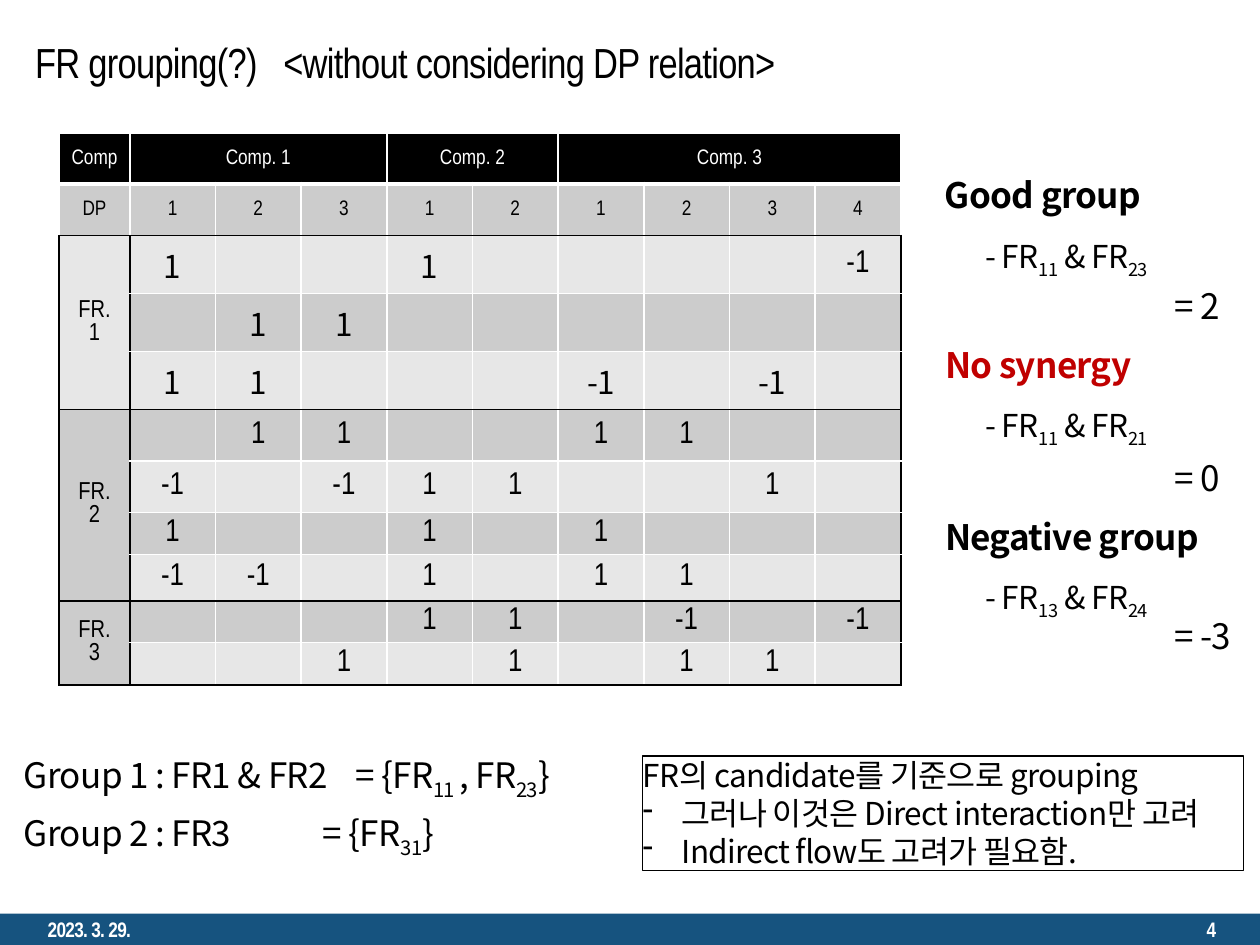
from dataclasses import dataclass

from lxml import etree
from pptx import Presentation
from pptx.dml.color import RGBColor
from pptx.enum.shapes import MSO_SHAPE
from pptx.enum.text import MSO_ANCHOR, PP_ALIGN
from pptx.oxml.ns import qn
from pptx.util import Inches, Pt

RECT = MSO_SHAPE.RECTANGLE
MIDDLE, TOP = MSO_ANCHOR.MIDDLE, MSO_ANCHOR.TOP
LEFT, CENTER, RIGHT = PP_ALIGN.LEFT, PP_ALIGN.CENTER, PP_ALIGN.RIGHT
NARROW, NOTO = "Arial Narrow", "Noto Sans CJK KR"
COLORS = {"black": "000000", "white": "FFFFFF", "red": "C00000",
          "footer": "16537F", "light": "E7E7E7", "mid": "CCCCCC"}


@dataclass
class Style:
    """Look of a piece of text."""
    size: float = 20
    font: str = NOTO
    color: str = "black"
    bold: bool = False
    tracking: int = -40
    align: PP_ALIGN = LEFT


@dataclass
class Label:
    """A single line of text; parts between underscores are subscript."""
    text: str
    left: float
    top: float
    width: float
    height: float
    style: Style
    inset: float = 0
    anchor: MSO_ANCHOR = TOP
    wrap: bool = False
    tab: float = 0


@dataclass
class Pair:
    """A verdict on a pair of requirements, with its score."""
    title: str
    color: str
    members: str
    score: str
    title_top: float
    members_top: float
    score_top: float
    title_width: float
    score_width: float


FOOTER = Style(12, NARROW, "white", True)
BODY, NOTE = Style(20), Style(18)
CELL = {size: Style(size, NARROW, tracking=0, align=CENTER) for size in (14, 18)}
HEAD = {color: Style(12, NARROW, color, tracking=0, align=CENTER) for color in ("white", "black")}
WIDE_CELL = Style(18, align=CENTER)

LABELS = [
    Label("2023. 3. 29.", 0.28, 7.25, 2.25, 0.25, FOOTER, 0.1, MIDDLE, True),
    Label("4", 7.5, 7.25, 2.25, 0.25, Style(12, NARROW, "white", True, align=RIGHT),
          0.1, MIDDLE, True),
    Label("FR grouping(?)\t<without considering DP relation>", 0.18, 0.17, 8.09, 0.64,
          Style(24, NARROW), 0.1, MIDDLE, True, 1.97),
    Label("Group 1 : FR1 & FR2\t= {FR_11 _, FR_23_}", 0.19, 5.98, 4.58, 0.34, BODY,
          wrap=True, tab=2.63),
    Label("Group 2 : FR3\t= {FR_31_}", 0.19, 6.44, 3.99, 0.34, BODY, wrap=True, tab=2.37),
]
PAIRS = [
    Pair("Good group", "black", "- FR_11_ & FR_23", "= 2", 1.38, 1.88, 2.26, 1.57, 0.43),
    Pair("No synergy", "red", "- FR_11_ & FR_21", "= 0", 2.73, 3.22, 3.62, 1.48, 0.43),
    Pair("Negative group", "black", "- FR_13_ & FR_24", "= -3", 4.09, 4.59, 4.88, 2.02, 0.54),
]
NOTES = ["FR의 candidate를 기준으로 grouping",
         "그러나 이것은 Direct interaction만 고려",
         "Indirect flow도 고려가 필요함."]

COMPONENTS = [("Comp. 1", 3), ("Comp. 2", 2), ("Comp. 3", 4)]
GROUPS = [("FR. 1", 3), ("FR. 2", 4), ("FR. 3", 2)]
VALUES = [
    ["1", "", "", "1", "", "", "", "", "-1"],
    ["", "1", "1", "", "", "", "", "", ""],
    ["1", "1", "", "", "", "-1", "", "-1", ""],
    ["", "1", "1", "", "", "1", "1", "", ""],
    ["-1", "", "-1", "1", "1", "", "", "1", ""],
    ["1", "", "", "1", "", "1", "", "", ""],
    ["-1", "-1", "", "1", "", "1", "1", "", ""],
    ["", "", "", "1", "1", "", "-1", "", "-1"],
    ["", "", "1", "", "1", "", "1", "1", ""],
]
ROW_HEIGHTS = [0.4, 0.41, 0.46, 0.46, 0.46, 0.41, 0.41, 0.33, 0.37, 0.33, 0.34]
COLUMN_WIDTHS = [0.56] + [0.68] * 9


def rgb(name):
    """Return the named colour."""
    return RGBColor.from_string(COLORS[name])


def write(para, text: str, style: Style) -> None:
    """Fill a paragraph, lowering every second part of the text."""
    para.alignment = style.align
    for index, part in enumerate(text.split("_")):
        if not part:
            continue
        span = para.add_run()
        span.text = part
        for name, value in {"size": Pt(style.size), "name": style.font,
                            "bold": style.bold}.items():
            setattr(span.font, name, value)
        span.font.color.rgb = rgb(style.color)
        props = span.font._element
        props.set("spc", str(style.tracking))
        if index % 2:
            props.set("baseline", "-25000")
        etree.SubElement(props, qn("a:ea")).set("typeface", style.font)


def set_frame(frame, inset: float, anchor, wrap: bool) -> None:
    """Set the insets, anchor and wrapping of a text frame."""
    sides = ("margin_left", "margin_right", "margin_top", "margin_bottom")
    for name, value in {**dict.fromkeys(sides, Inches(inset)),
                        "vertical_anchor": anchor, "word_wrap": wrap}.items():
        setattr(frame, name, value)


def add_label(page, label: Label) -> None:
    """Add one line of text."""
    box = page.shapes.add_textbox(*map(Inches, (label.left, label.top, label.width, label.height)))
    set_frame(box.text_frame, label.inset, label.anchor, label.wrap)
    para = box.text_frame.paragraphs[0]
    write(para, label.text, label.style)
    if label.tab:
        stops = etree.SubElement(para._p.get_or_add_pPr(), qn("a:tabLst"))
        stop = etree.SubElement(stops, qn("a:tab"))
        stop.set("pos", str(Inches(label.tab)))
        stop.set("algn", "l")


def add_pair(page, pair: Pair) -> None:
    """Add the title, members and score of a pair."""
    title = Style(color=pair.color, bold=True)
    add_label(page, Label(pair.members, 7.82, pair.members_top, 1.45, 0.3, NOTE))
    add_label(page, Label(pair.title, 7.5, pair.title_top, pair.title_width, 0.34, title))
    add_label(page, Label(pair.score, 9.32, pair.score_top, pair.score_width, 0.34, BODY))


def add_box(page, left: float, top: float, width: float, height: float):
    """Add a plain rectangle without a shadow."""
    box = page.shapes.add_shape(RECT, *map(Inches, (left, top, width, height)))
    box.shadow.inherit = False
    return box


def add_notes(page) -> None:
    """Add the outlined box with its bulleted remarks."""
    box = add_box(page, 5.1, 6, 4.77, 0.91)
    box.fill.background()
    box.line.color.rgb, box.line.width = rgb("black"), Pt(0.75)
    frame = box.text_frame
    set_frame(frame, 0, TOP, True)
    for index, text in enumerate(NOTES):
        para = frame.add_paragraph() if index else frame.paragraphs[0]
        write(para, text, NOTE)
        if index:
            props = para._p.get_or_add_pPr()
            props.set("marL", str(Inches(0.31)))
            props.set("indent", str(Inches(-0.31)))
            etree.SubElement(props, qn("a:buChar")).set("char", "-")


def paint(cell, fill: str, borders: dict) -> None:
    """Set the borders of a cell, then its fill."""
    for side in "LRTB":
        color, width = borders.get(side, ("white", 1))
        line = etree.SubElement(cell._tc.get_or_add_tcPr(), qn(f"a:ln{side}"))
        line.set("w", str(Pt(width)))
        solid = etree.SubElement(line, qn("a:solidFill"))
        etree.SubElement(solid, qn("a:srgbClr")).set("val", COLORS[color])
    cell.fill.solid()
    cell.fill.fore_color.rgb = rgb(fill)


def fill_cell(cell, text: str, style: Style, side: float = 0.1) -> None:
    """Write centred text in a cell."""
    cell.vertical_anchor = MIDDLE
    cell.margin_left = cell.margin_right = Inches(side)
    cell.margin_top = cell.margin_bottom = Inches(0.01)
    write(cell.text_frame.paragraphs[0], text, style)


def add_matrix(page) -> None:
    """Add the table that relates requirements to design parameters."""
    size = len(ROW_HEIGHTS), len(COLUMN_WIDTHS)
    frame = page.shapes.add_table(*size, *map(Inches, (
        0.47, 1.06, sum(COLUMN_WIDTHS), sum(ROW_HEIGHTS))))
    table = frame.table
    table.first_row = table.horz_banding = False
    for row, height in zip(table.rows, ROW_HEIGHTS):
        row.height = Inches(height)
    for column, width in zip(table.columns, COLUMN_WIDTHS):
        column.width = Inches(width)

    black = ("black", 1)
    for column in range(size[1]):
        paint(table.cell(0, column), "black", {"B": ("white", 3)})
        paint(table.cell(1, column), "mid", {"T": ("white", 3), "B": black})
    fill_cell(table.cell(0, 0), "Comp", HEAD["white"], 0.05)
    fill_cell(table.cell(1, 0), "DP", HEAD["black"], 0.05)
    column = 1
    for name, count in COMPONENTS:
        table.cell(0, column).merge(table.cell(0, column + count - 1))
        fill_cell(table.cell(0, column), name, HEAD["white"])
        for number in range(count):
            fill_cell(table.cell(1, column + number), str(number + 1), HEAD["black"])
        column += count

    first = 2
    for name, count in GROUPS:
        last = first + count - 1
        for row in range(first, last + 1):
            for column in range(size[1]):
                head = column == 0
                edges = {"L": column < 2, "R": column in (0, size[1] - 1),
                         "T": head or row == first, "B": head or row == last}
                shade_row = first if head else row
                paint(table.cell(row, column), "mid" if shade_row % 2 else "light",
                      {side: black for side, dark in edges.items() if dark})
                if column:
                    wide = first == 2 and column < size[1] - 1
                    fill_cell(table.cell(row, column), VALUES[row - 2][column - 1],
                              WIDE_CELL if wide else CELL[18])
        table.cell(first, 0).merge(table.cell(last, 0))
        fill_cell(table.cell(first, 0), name, CELL[14])
        table.cell(first, 0)._tc.get_or_add_tcPr().set("vert", "eaVert")
        first = last + 1


def main() -> None:
    """Build and save the deck."""
    deck = Presentation()
    deck.slide_width, deck.slide_height = Inches(10), Inches(7.5)
    page = deck.slides.add_slide(deck.slide_layouts[6])
    footer = add_box(page, 0, 7.25, 10, 0.25)
    footer.fill.solid()
    footer.fill.fore_color.rgb = rgb("footer")
    footer.line.fill.background()
    add_matrix(page)
    for label in LABELS:
        add_label(page, label)
    for pair in PAIRS:
        add_pair(page, pair)
    add_notes(page)
    deck.save("out.pptx")


main()
